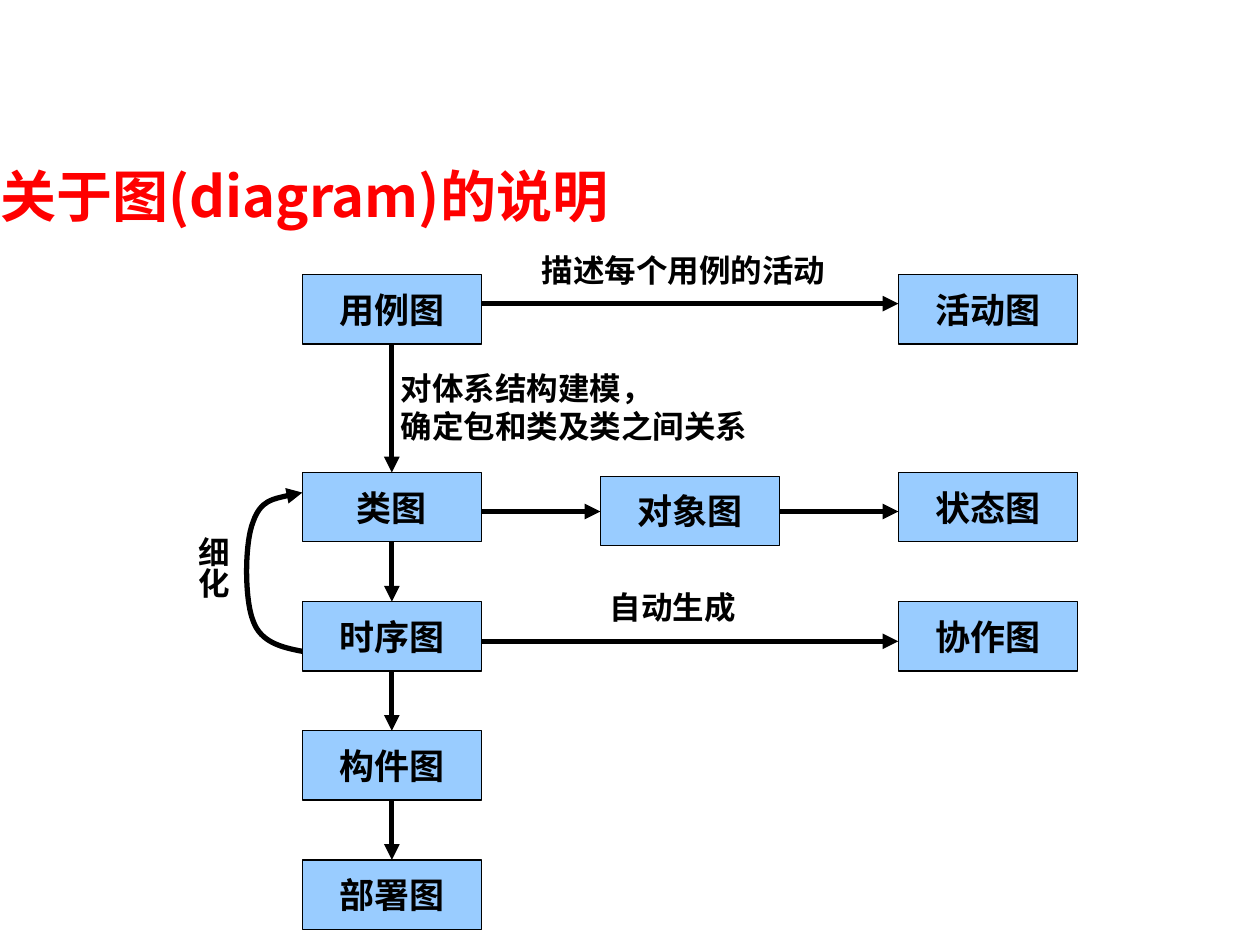
from lxml import etree
from pptx import Presentation
from pptx import util as u
from pptx.dml.color import RGBColor
from pptx.enum import shapes, text
from pptx.oxml import ns

TITLE = "关于图(diagram)的说明"
BOXES = {
    "用例图": (0, 0, 0), "活动图": (2, 0, 0),
    "类图": (0, 1, 0), "状态图": (2, 1, 0),
    "时序图": (0, 2, 0), "协作图": (2, 2, 0),
    "构件图": (0, 3, 0), "部署图": (0, 4, 0),
    "对象图": (1, 1, 0.03),
}
DOWN = ["用例图", "类图", "时序图", "构件图", "部署图"]
ACROSS = [("用例图", "活动图", 2.41), ("类图", "对象图", 4.06),
          ("对象图", "状态图", 4.06), ("时序图", "协作图", 5.09)]
LABELS = [
    (["描述每个用例的活动"], (4.3, 1.94, 2.25, 0.4)),
    (["对体系结构建模，", "确定包和类及类之间关系"], (3.18, 2.88, 2.75, 0.7)),
    (["自动生成"], (4.84, 4.62, 1, 0.4)),
]
REFINE = (["细化"], (1.29, 4.26, 0.6, 0.59))
LOOP = [(2.4, 5.17), (2.24, 5.14), (2.07, 5.1), (2.01, 4.93), (1.94, 4.76),
        (1.94, 4.31), (2.01, 4.14), (2.07, 3.97), (2.24, 3.94), (2.4, 3.91)]
COLORS = {"title": "FF0000", "box": "99CCFF", "ink": "000000"}
FONT, CJK = "Times New Roman", "Noto Sans CJK SC"
BOX_W, BOX_H = 1.42, 0.55
COLS = [2.4 + 2.365 * i for i in range(3)]
ROWS = [2.18] + [3.75 + 1.025 * i for i in range(4)]


def rgb(name):
    return RGBColor.from_string(COLORS[name])


def write(sp, lines, size=18, color="ink", font=FONT, align=text.PP_ALIGN.LEFT,
          anchor=text.MSO_ANCHOR.TOP, wrap=False, grow=True, insets=(0, 0.05)):
    tf = sp.text_frame
    tf.word_wrap = wrap
    tf.auto_size = text.MSO_AUTO_SIZE.SHAPE_TO_FIT_TEXT if grow else text.MSO_AUTO_SIZE.NONE
    tf.vertical_anchor = anchor
    tf.margin_left = tf.margin_right = u.Inches(insets[0])
    tf.margin_top = tf.margin_bottom = u.Inches(insets[1])
    for i, line in enumerate(lines):
        p = tf.paragraphs[0] if i == 0 else tf.add_paragraph()
        p.alignment = align
        r = p.add_run()
        r.text = line
        r.font.name, r.font.size, r.font.bold = font, u.Pt(size), True
        r.font.color.rgb = rgb(color)
        etree.SubElement(r.font._element, ns.qn("a:ea"), typeface=CJK)


def inches(values):
    return [u.Inches(v) for v in values]


def style_arrow(sp):
    sp.line.color.rgb = rgb("ink")
    sp.line.width = u.Pt(3)
    etree.SubElement(sp.line._get_or_add_ln(), ns.qn("a:tailEnd"), type="triangle")


def add_arrow(s, *ends):
    c = s.shapes.add_connector(shapes.MSO_CONNECTOR.STRAIGHT, *inches(ends))
    style_arrow(c)
    etree.SubElement(c._element.spPr, ns.qn("a:effectLst"))
    return c


def add_loop(s):
    points = [tuple(inches(pt)) for pt in LOOP]
    builder = s.shapes.build_freeform(*points[0])
    builder.add_line_segments(points[1:], close=False)
    sp = builder.convert_to_shape()
    sp.shadow.inherit = False
    sp.fill.background()
    style_arrow(sp)
    segments = list(sp._element.iter(ns.qn("a:lnTo")))
    outline = segments[0].getparent()
    for i in range(0, len(segments), 3):
        curve = etree.SubElement(outline, ns.qn("a:cubicBezTo"))
        for segment in segments[i:i + 3]:
            curve.append(segment[0])
            outline.remove(segment)


def main():
    prs = Presentation()
    prs.slide_width, prs.slide_height = u.Inches(10), u.Inches(7.5)
    s = prs.slides.add_slide(prs.slide_layouts[5])

    title = s.shapes.title
    title.left, title.top, title.width, title.height = inches((0, 1.23, 7.51, 0.64))
    write(title, [TITLE], size=32, color="title", font=CJK,
          anchor=text.MSO_ANCHOR.MIDDLE, wrap=True)

    boxes = {}
    for name, (col, row, shift) in BOXES.items():
        sp = s.shapes.add_shape(shapes.MSO_SHAPE.RECTANGLE, *inches(
            (COLS[col], ROWS[row] + shift, BOX_W, BOX_H)))
        sp.shadow.inherit = False
        sp.fill.solid()
        sp.fill.fore_color.rgb = rgb("box")
        sp.line.color.rgb = rgb("ink")
        sp.line.width = u.Pt(0.75)
        write(sp, [name], size=20, align=text.PP_ALIGN.CENTER,
              anchor=text.MSO_ANCHOR.MIDDLE, grow=False)
        boxes[name] = sp

    for upper, lower in zip(DOWN, DOWN[1:]):
        c = add_arrow(s, 0, 0, 0, 0)
        c.begin_connect(boxes[upper], 2)
        c.end_connect(boxes[lower], 0)
    for start, end, y in ACROSS:
        add_arrow(s, COLS[BOXES[start][0]] + BOX_W, y, COLS[BOXES[end][0]], y)
    add_loop(s)

    for lines, place in LABELS:
        write(s.shapes.add_textbox(*inches(place)), lines)
    lines, place = REFINE
    refine = s.shapes.add_textbox(*inches(place))
    write(refine, lines, wrap=True, insets=(0.05, 0))
    refine.text_frame._txBody.bodyPr.set("vert", "eaVert")

    prs.save("out.pptx")


if __name__ == "__main__":
    main()
